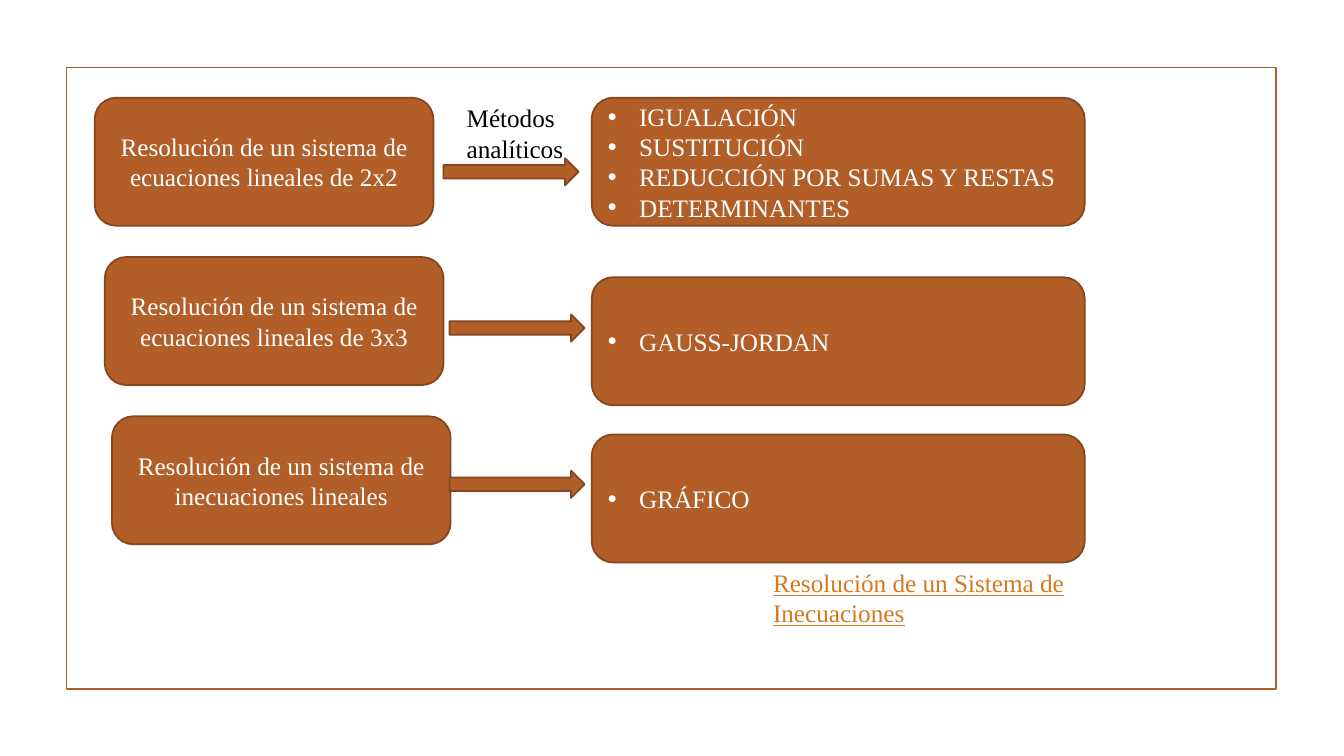
from lxml.etree import SubElement
from pptx import Presentation
from pptx.dml.color import RGBColor
from pptx.enum.shapes import MSO_SHAPE
from pptx.enum.text import MSO_ANCHOR, PP_ALIGN
from pptx.oxml.ns import qn
from pptx.util import Inches, Pt

WIDTH, HEIGHT = Inches(13.333), Inches(7.5)
RUST, BROWN, ORANGE = "B15E28", "83461E", "D37A21"
WHITE, BLACK = "FFFFFF", "000000"
CARD_HEIGHT = 16.93
FIRST_TOP, TOPIC_STEP = 12.93, 21.07

ROWS = [
    (7.05, "Resolución de un sistema de ecuaciones lineales de 2x2",
     33, 20.93, 12.93,
     ["IGUALACIÓN", "SUSTITUCIÓN", "REDUCCIÓN POR SUMAS Y RESTAS", "DETERMINANTES"]),
    (7.8, "Resolución de un sistema de ecuaciones lineales de 3x3",
     33.45, 41.6, 36.67, ["GAUSS-JORDAN"]),
    (8.33, "Resolución de un sistema de inecuaciones lineales",
     33.45, 62.27, 57.47, ["GRÁFICO"]),
]


def color(value):
    return RGBColor.from_string(value)


def area(left, top, width, height):
    return (int(WIDTH * left / 100), int(HEIGHT * top / 100),
            int(WIDTH * width / 100), int(HEIGHT * height / 100))


def add_bullet(para):
    properties = para._p.get_or_add_pPr()
    properties.set("marL", str(Inches(0.31)))
    properties.set("indent", str(-Inches(0.31)))
    SubElement(properties, qn("a:buFont")).set("typeface", "Arial")
    SubElement(properties, qn("a:buChar")).set("char", "•")


def write(shape, lines, ink, align=PP_ALIGN.LEFT, bullets=False, underline=None):
    frame = shape.text_frame
    frame.word_wrap = True
    for index, line in enumerate(lines):
        para = frame.paragraphs[0] if index == 0 else frame.add_paragraph()
        para.text = line
        para.alignment = align
        if bullets:
            add_bullet(para)
        for font in [para.font] + [span.font for span in para.runs]:
            font.name = "Times New Roman"
            font.size = Pt(18)
            font.color.rgb = color(ink)
            font.underline = underline


def add_block(slide, kind, place, fill=RUST, line=BROWN):
    block = slide.shapes.add_shape(kind, *area(*place))
    block.shadow.inherit = False
    if fill:
        block.fill.solid()
        block.fill.fore_color.rgb = color(fill)
    else:
        block.fill.background()
    block.line.color.rgb = color(line)
    block.line.width = Pt(1.25)
    return block


def add_card(slide, place, lines, **style):
    card = add_block(slide, MSO_SHAPE.ROUNDED_RECTANGLE, place)
    card.text_frame.vertical_anchor = MSO_ANCHOR.MIDDLE
    write(card, lines, WHITE, **style)


def add_label(slide, place, lines, ink, **style):
    write(slide.shapes.add_textbox(*area(*place)), lines, ink, **style)


def main():
    deck = Presentation()
    deck.slide_width, deck.slide_height = WIDTH, HEIGHT
    page = deck.slides.add_slide(deck.slide_layouts[6])

    add_block(page, MSO_SHAPE.RECTANGLE, (4.95, 8.93, 90, 82.27), None, RUST)
    add_label(page, (56.78, 74.4, 30.83, 9.47),
              ["Resolución de un Sistema de Inecuaciones"], ORANGE, underline=True)

    for row, (left, topic, arrow_left, arrow_top, top, methods) in enumerate(ROWS):
        add_card(page, (left, FIRST_TOP + row * TOPIC_STEP, 25.2, CARD_HEIGHT),
                 [topic], align=PP_ALIGN.CENTER)
        add_block(page, MSO_SHAPE.RIGHT_ARROW, (arrow_left, arrow_top, 10.05, 3.6))
        add_card(page, (44.03, top, 36.68, CARD_HEIGHT), methods, bullets=True)

    add_label(page, (33.98, FIRST_TOP, 9.08, 9.47), ["Métodos", "analíticos"], BLACK)
    deck.save("out.pptx")


if __name__ == "__main__":
    main()
